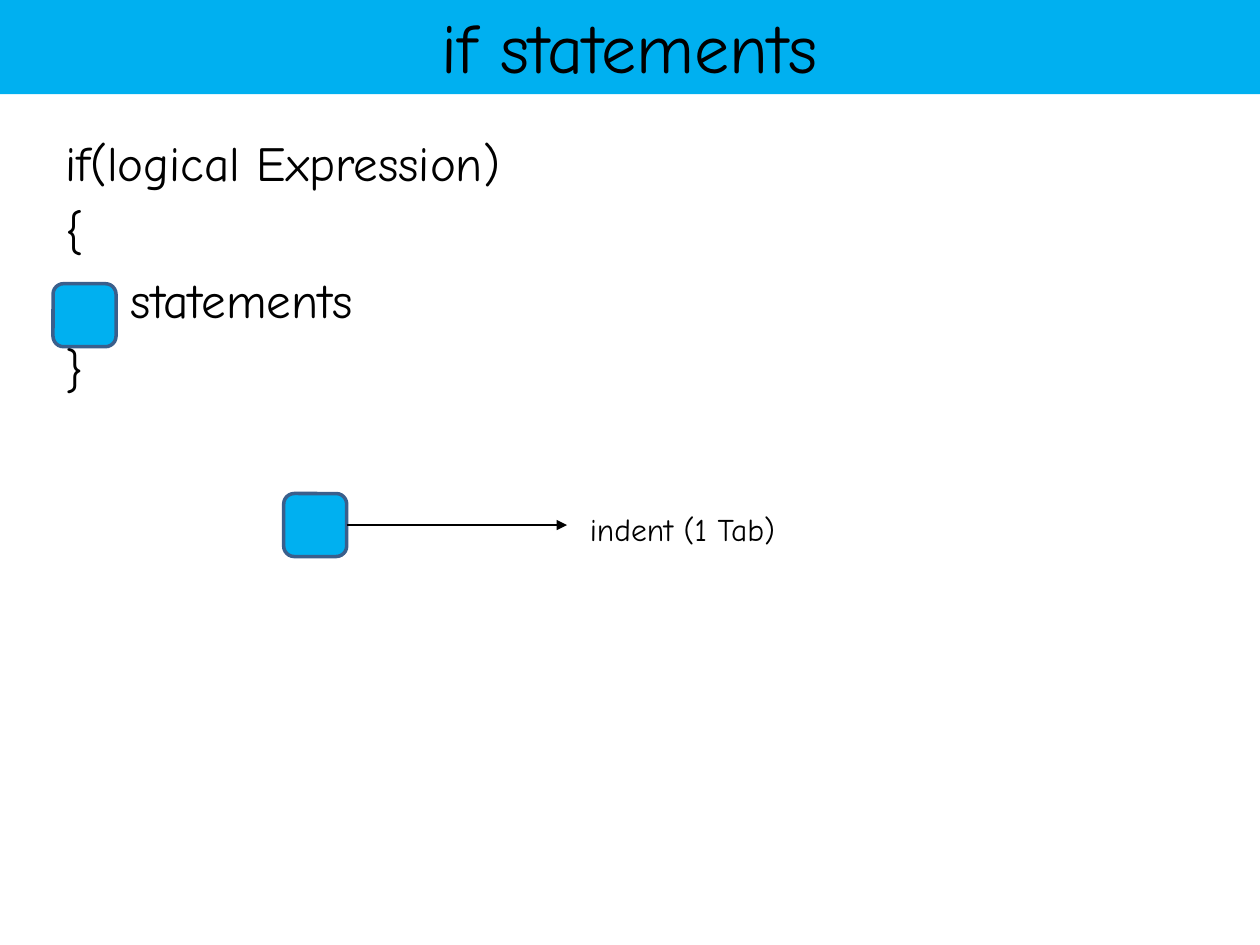
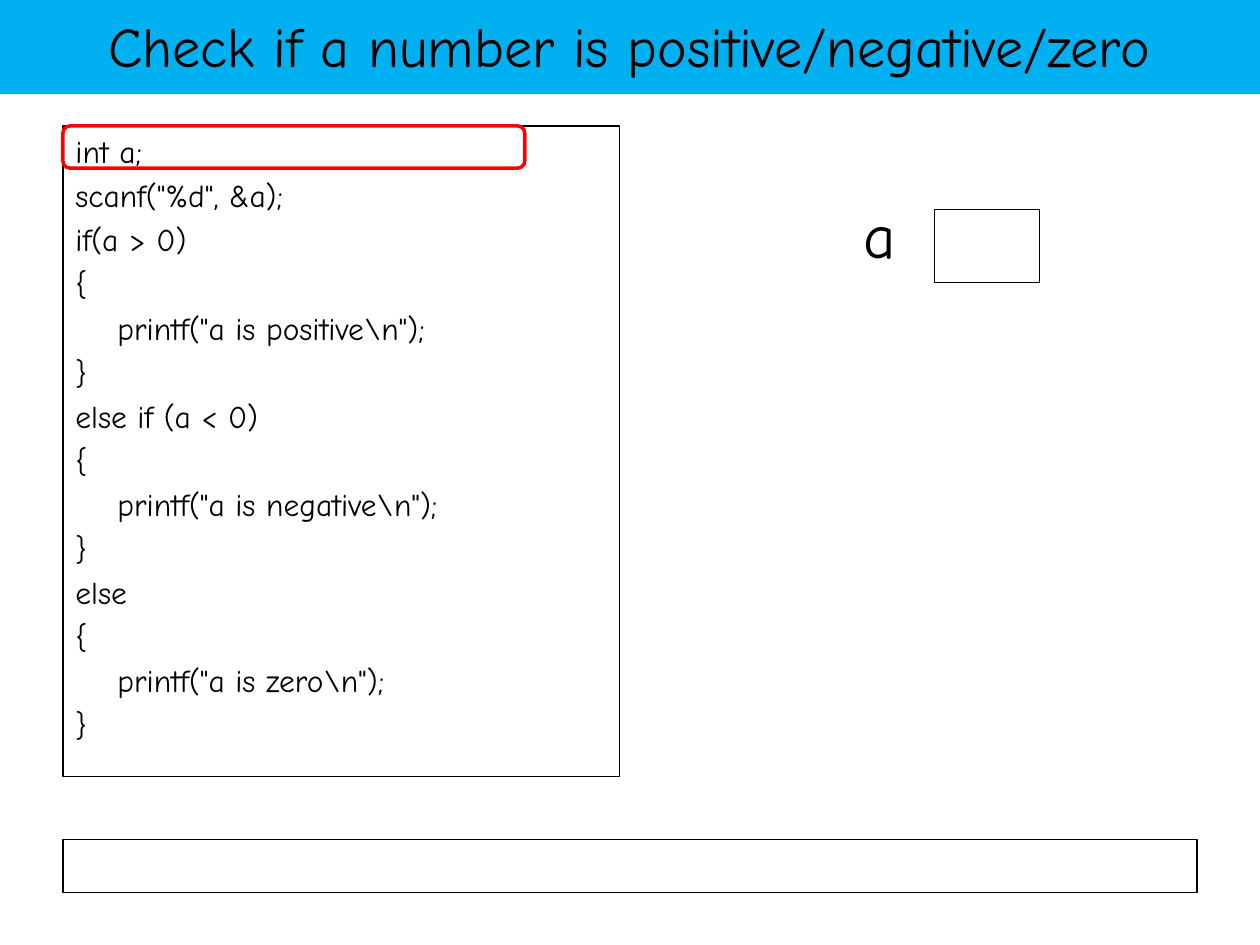
"""Build two slides that explain if statements in C."""
import pptx
import pptx.dml.color
import pptx.enum.shapes
import pptx.enum.text
import pptx.oxml
import pptx.oxml.ns
import pptx.util

Cm = pptx.util.Cm
Pt = pptx.util.Pt
RGBColor = pptx.dml.color.RGBColor
MSO_SHAPE = pptx.enum.shapes.MSO_SHAPE
MSO_ANCHOR = pptx.enum.text.MSO_ANCHOR
PP_ALIGN = pptx.enum.text.PP_ALIGN

SKY = RGBColor(0x00, 0xB0, 0xF0)
STEEL = RGBColor(0x3A, 0x5F, 0x8C)
RED = RGBColor(0xFF, 0x00, 0x00)
BLACK = RGBColor(0x00, 0x00, 0x00)
FONT = "Comic Neue"
SQUARE = 1.27
SYNTAX = ["if(logical Expression)", "{", "    statements", "}"]
PROGRAM = [
    "int a;",
    'scanf("%d", &a);',
    "if(a > 0)",
    "{",
    '    printf("a is positive\\n");',
    "}",
    "else if (a < 0)",
    "{",
    '    printf("a is negative\\n");',
    "}",
    "else",
    "{",
    '    printf("a is zero\\n");',
    "}",
]


def write_lines(frame, lines, size, align=PP_ALIGN.LEFT):
    for number, line in enumerate(lines):
        paragraph = frame.paragraphs[0] if number == 0 else frame.add_paragraph()
        paragraph.alignment = align
        paragraph.space_before = Pt(0.2 * size if number else 0)
        run = paragraph.add_run()
        run.text = line
        run.font.name = FONT
        run.font.size = Pt(size)
        run.font.color.rgb = BLACK


def add_box(slide, kind, left, top, width, height, line=BLACK, weight=0.75, fill=None):
    box = slide.shapes.add_shape(kind, Cm(left), Cm(top), Cm(width), Cm(height))
    box.shadow.inherit = False
    box.line.color.rgb = line
    box.line.width = Pt(weight)
    if fill is None:
        box.fill.background()
    else:
        box.fill.solid()
        box.fill.fore_color.rgb = fill
    return box


deck = pptx.Presentation()
deck.slide_width = Cm(25.4)
deck.slide_height = Cm(19.05)

slides = []
for heading, size in [("if statements", 40), ("Check if a number is positive/negative/zero", 32)]:
    slide = deck.slides.add_slide(deck.slide_layouts[5])
    title = slide.shapes.title
    title.left, title.top, title.width, title.height = Cm(-0.02), Cm(-0.08), Cm(25.43), Cm(1.98)
    title.fill.solid()
    title.fill.fore_color.rgb = SKY
    title.text_frame.auto_size = pptx.enum.text.MSO_AUTO_SIZE.NONE
    title.text_frame.vertical_anchor = MSO_ANCHOR.MIDDLE
    write_lines(title.text_frame, [heading], size, PP_ALIGN.CENTER)
    slides.append(slide)
syntax_slide, program_slide = slides

for slide, lines, size, left, top, width, height, wrap in [
    (syntax_slide, SYNTAX, 28, 1.07, 2.54, 17.58, 11.63, True),
    (syntax_slide, ["indent (1 Tab)"], 18, 11.64, 10.16, 4.67, 1.02, False),
    (program_slide, ["a"], 36, 17.15, 3.81, 1.27, 1.8, True),
]:
    label = slide.shapes.add_textbox(Cm(left), Cm(top), Cm(width), Cm(height))
    label.text_frame.word_wrap = wrap
    write_lines(label.text_frame, lines, size)

for left, top in [(1.07, 5.72), (5.72, 9.95)]:
    indent_square = add_box(syntax_slide, MSO_SHAPE.ROUNDED_RECTANGLE, left, top,
                            SQUARE, SQUARE, STEEL, 2, SKY)

middle = Cm(9.95 + SQUARE / 2)
indent_arrow = syntax_slide.shapes.add_connector(
    pptx.enum.shapes.MSO_CONNECTOR.STRAIGHT, Cm(6.99), middle, Cm(11.43), middle)
indent_arrow.begin_connect(indent_square, 3)
indent_arrow.line.color.rgb = BLACK
indent_arrow.line.width = Pt(0.75)
arrow_line = indent_arrow.line._get_or_add_ln()
arrow_line.append(pptx.oxml.parse_xml(
    '<a:tailEnd %s type="triangle"/>' % pptx.oxml.ns.nsdecls("a")))
arrow_line.addnext(pptx.oxml.parse_xml("<a:effectLst %s/>" % pptx.oxml.ns.nsdecls("a")))

program_box = add_box(program_slide, MSO_SHAPE.RECTANGLE, 1.27, 2.54, 11.22, 13.12)
program_box.text_frame.word_wrap = True
program_box.text_frame.vertical_anchor = MSO_ANCHOR.TOP
write_lines(program_box.text_frame, PROGRAM, 18)

add_box(program_slide, MSO_SHAPE.RECTANGLE, 1.27, 16.93, 22.86, 1.07)
add_box(program_slide, MSO_SHAPE.RECTANGLE, 18.84, 4.23, 2.12, 1.46)
add_box(program_slide, MSO_SHAPE.ROUNDED_RECTANGLE, 1.27, 2.54, 9.31, 0.85, RED, 2)

deck.save("out.pptx")
